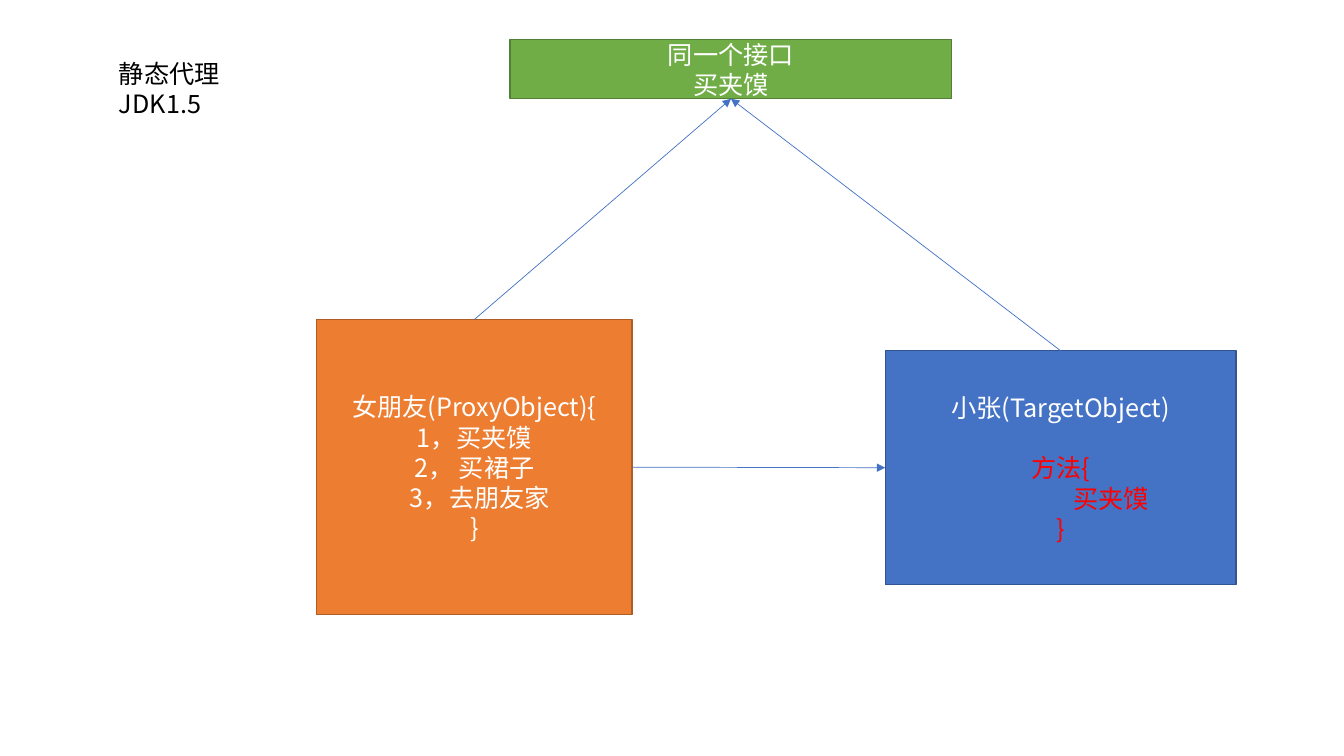
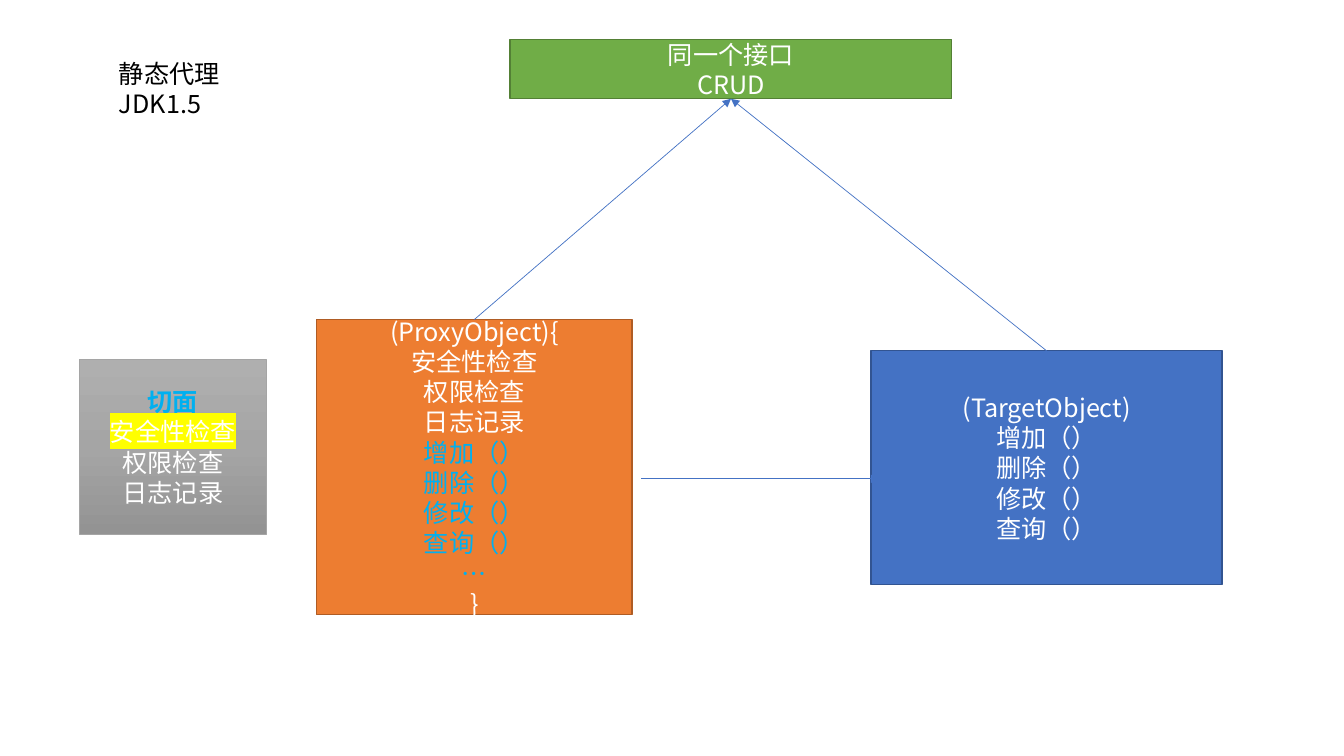
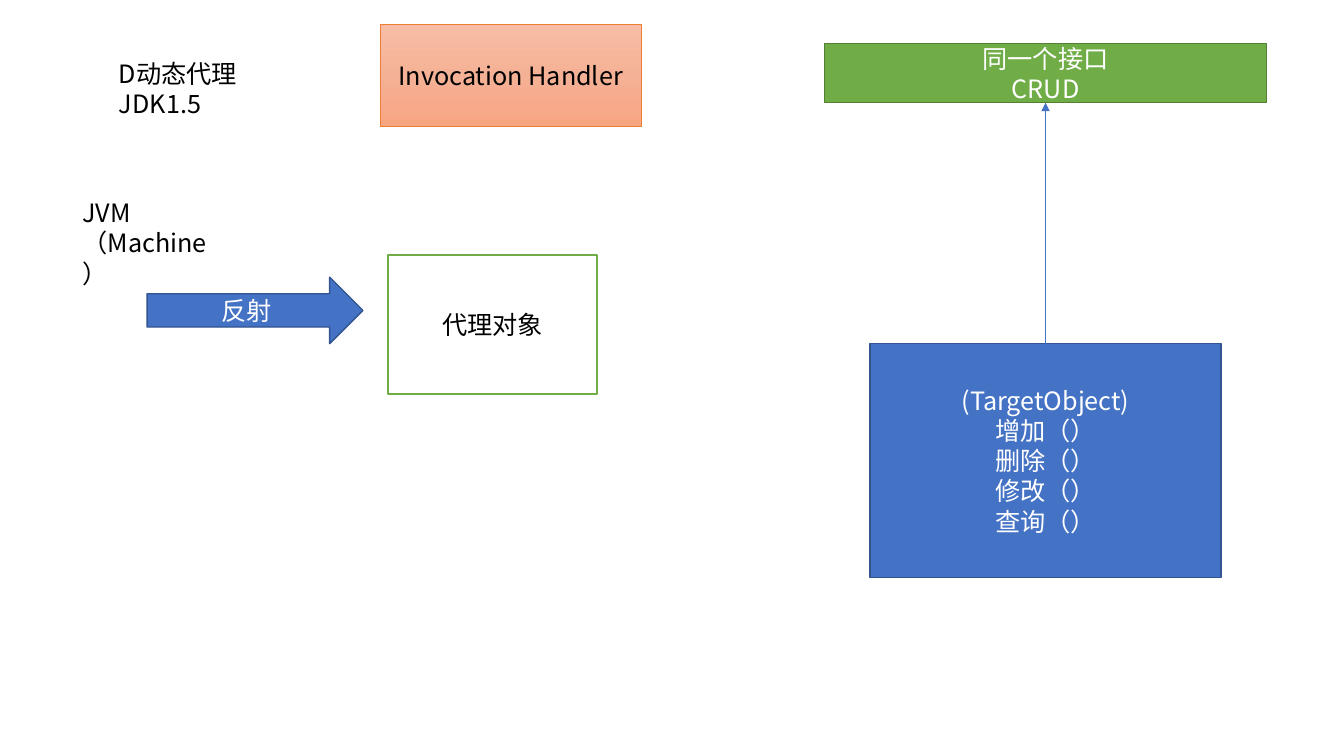
from collections import namedtuple
from copy import deepcopy

from lxml.etree import SubElement
from pptx import Presentation
from pptx.dml.color import RGBColor
from pptx.enum.shapes import MSO_CONNECTOR as Wire, MSO_SHAPE as Form
from pptx.enum.text import MSO_ANCHOR as Anchor, MSO_AUTO_SIZE as Fit, PP_ALIGN as Align
from pptx.oxml.ns import qn
from pptx.util import Inches, Pt

FONT = "Noto Sans CJK SC"
HUES = {
    "white": "FFFFFF", "black": "000000", "red": "FF0000", "cyan": "00B0F0",
    "blue": "4472C4", "navy": "325491", "orange": "ED7D31", "rust": "AF5C24",
    "green": "70AD47", "moss": "538035", "gray": "A5A5A5", "yellow": "FFFF00",
}
GRAYS = ["AFAFAF", "A5A5A5", "939393"]
PEACHES = ["F7BDA5", "F5B196", "F8A582"]
CHECKS = ["安全性检查", "权限检查", "日志记录"]
CALLS = ["增加（）", "删除（）", "修改（）", "查询（）"]
TOP, LEFT, BOTTOM, RIGHT = range(4)

Box = namedtuple("Box", "x y w h")
Row = namedtuple("Row", "text hue bold mark pad gap", defaults=(None, False, None, 0, 0))


def tint(name):
    return RGBColor.from_string(HUES[name])


def lengths(box):
    return [Inches(side) for side in box]


def write(frame, rows, hue, align):
    frame.word_wrap = True
    for i, row in enumerate(rows):
        row = row if isinstance(row, Row) else Row(row)
        para = frame.paragraphs[0] if i == 0 else frame.add_paragraph()
        run = para.add_run()
        run.text = row.text
        para.alignment = align
        font = para.font
        font.name, font.size, font.bold = FONT, Pt(18), row.bold
        font.color.rgb = tint(row.hue or hue)
        props = para._p.get_or_add_pPr()
        SubElement(props.find(qn("a:defRPr")), qn("a:ea"), typeface=FONT)
        if row.pad:
            props.set("marL", str(Inches(row.pad)))
        if row.gap:
            para.space_before = Pt(row.gap)
        if row.mark:
            mark = SubElement(run._r.get_or_add_rPr(), qn("a:highlight"))
            SubElement(mark, qn("a:srgbClr"), val=HUES[row.mark])


def shade(shape, stops):
    fill = shape.fill
    fill.gradient()
    fill.gradient_angle = 270
    items = shape._element.spPr.find(qn("a:gradFill")).find(qn("a:gsLst"))
    items.append(deepcopy(items[-1]))
    for i, stop in enumerate(fill.gradient_stops):
        stop.position = i / 2
        stop.color.rgb = RGBColor.from_string(stops[i])


def card(slide, box, rows, fill, edge, hue="white", width=1, form=Form.RECTANGLE):
    shape = slide.shapes.add_shape(form, *lengths(box))
    shape.shadow.inherit = False
    if isinstance(fill, list):
        shade(shape, fill)
    else:
        shape.fill.solid()
        shape.fill.fore_color.rgb = tint(fill)
    shape.line.color.rgb = tint(edge)
    shape.line.width = Pt(width)
    shape.text_frame.vertical_anchor = Anchor.MIDDLE
    write(shape.text_frame, rows, hue, Align.CENTER)
    return shape


def arrow(slide, x1, y1, x2, y2):
    wire = slide.shapes.add_connector(Wire.STRAIGHT, *lengths((x1, y1, x2, y2)))
    wire.line.color.rgb = tint("blue")
    wire.line.width = Pt(0.5)
    SubElement(wire.line._get_or_add_ln(), qn("a:tailEnd"), type="triangle")
    SubElement(wire._element.spPr, qn("a:effectLst"))
    return wire


def join(slide, start, side, end, goal):
    wire = arrow(slide, 0, 0, 1, 1)
    wire.begin_connect(start, side)
    wire.end_connect(end, goal)


def page(deck, head):
    slide = deck.slides.add_slide(deck.slide_layouts[5])
    title = slide.shapes.title
    title.left, title.top, title.width, title.height = lengths((1.08, 0.53, 1.95, 0.71))
    frame = title.text_frame
    frame.auto_size = Fit.NONE
    frame.vertical_anchor = Anchor.TOP
    write(frame, [head, "JDK1.5"], "black", Align.LEFT)
    return slide


def target(slide, x, y, rows):
    return card(slide, Box(x, y, 3.48, 2.32), rows, "blue", "navy")


def face(slide, x, y, name):
    return card(slide, Box(x, y, 4.38, 0.59), ["同一个接口", name], "green", "moss")


def triangle(slide, box, name, helper, goal):
    real = target(slide, box.x + box.w - 3.48, box.y + 3.09, goal)
    proxy = card(slide, Box(box.x, box.y + 2.78, 3.13, 2.93), helper, "orange", "rust")
    roof = face(slide, box.x + 1.92, box.y, name)
    for base in (proxy, real):
        join(slide, base, TOP, roof, BOTTOM)
    return proxy, real


def aspect(slide, box):
    first, *rest = CHECKS
    rows = [Row("切面", "cyan", True), Row(first, mark="yellow"), *rest]
    card(slide, box, rows, GRAYS, "gray", width=0.5)


def maker(slide, box):
    card(slide, Box(box.x + 3.13, box.y + 2.29, 2.07, 1.38), ["代理对象"],
         "white", "green", "black")
    card(slide, Box(box.x + 0.74, box.y + 2.51, 2.14, 0.66), ["反射"],
         "blue", "navy", form=Form.RIGHT_ARROW)
    label = slide.shapes.add_textbox(*lengths((box.x, box.y + 1.67, 1.6, 0.71)))
    label.text_frame.auto_size = Fit.SHAPE_TO_FIT_TEXT
    write(label.text_frame, ["JVM", "（Machine）"], "black", Align.LEFT)
    card(slide, Box(box.x + 3.05, box.y, 2.59, 1.01), ["Invocation Handler"],
         PEACHES, "orange", "black", 0.5)


def pair(slide, box):
    real = target(slide, box.x + (box.w - 3.48) / 2, box.y + 2.98,
                  ["(TargetObject)", *CALLS])
    roof = face(slide, box.x, box.y, "CRUD")
    join(slide, real, TOP, roof, BOTTOM)


def errand(deck):
    slide = page(deck, "静态代理")
    helper = ["女朋友(ProxyObject){", "1，买夹馍", "2， 买裙子",
              Row("3，去朋友家", pad=0.11), "}"]
    goal = ["小张(TargetObject)", Row("方法{", "red", gap=21.6),
            Row("买夹馍", "red", pad=1), Row("}", "red")]
    proxy, real = triangle(slide, Box(3.14, 0.39, 9.12, 5.71), "买夹馍", helper, goal)
    join(slide, proxy, RIGHT, real, LEFT)


def records(deck):
    slide = page(deck, "静态代理")
    calls = [Row(text, "cyan") for text in [*CALLS, "…"]]
    helper = ["(ProxyObject){", *CHECKS, *calls, "}"]
    triangle(slide, Box(3.14, 0.39, 8.98, 5.71), "CRUD", helper,
             ["(TargetObject)", *CALLS])
    arrow(slide, 6.36, 4.75, 8.72, 4.75)
    aspect(slide, Box(0.79, 3.57, 1.85, 1.73))


def dynamic(deck):
    slide = page(deck, "D动态代理")
    pair(slide, Box(8.18, 0.43, 4.38, 5.3))
    maker(slide, Box(0.72, 0.24, 5.64, 3.67))


deck = Presentation()
deck.slide_width, deck.slide_height = Inches(13.33), Inches(7.5)
for build in (errand, records, dynamic):
    build(deck)
deck.save("out.pptx")
